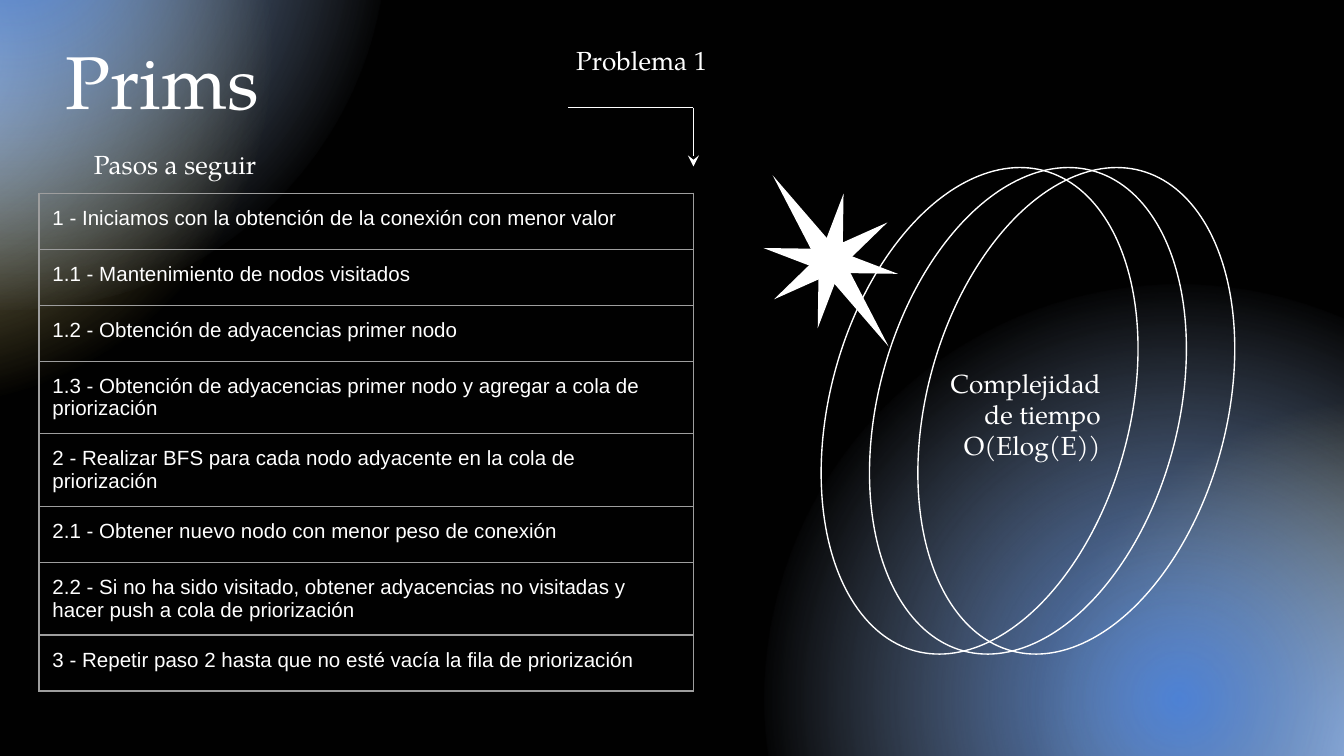
from dataclasses import dataclass
from math import cos, radians, sin

from lxml.etree import SubElement
from pptx import Presentation
from pptx.dml.color import RGBColor
from pptx.enum.shapes import MSO_CONNECTOR, MSO_SHAPE
from pptx.enum.text import MSO_ANCHOR, PP_ALIGN
from pptx.oxml.ns import qn
from pptx.util import Pt

SERIF = "TeX Gyre Pagella"
WHITE = "FFFFFF"
INSET = 7.2


@dataclass
class Glow:
    left: float
    top: float
    diameter: float
    stops: tuple  # (position in percent, colour, opacity in percent)


@dataclass
class Label:
    text: str
    left: float
    top: float
    width: float
    height: float
    size: float = 14
    alignment: PP_ALIGN = PP_ALIGN.LEFT
    anchor: MSO_ANCHOR = MSO_ANCHOR.MIDDLE
    line_spacing: float = 1.0


GOLD_STOPS = ((0, "ABC8F6", 100), (69, "DBBF57", 0), (100, "DBBF57", 0))
BLUE_STOPS = ((0, "4E82D5", 100), (72, "ACC4E8", 0), (91, "ACC4E8", 0), (100, "ACC4E8", 0))
GLOWS = [
    Glow(-239, -167, 389.5, GOLD_STOPS),
    Glow(-193.7, -235.4, 401, BLUE_STOPS),
    Glow(549.4, 209.5, 389.5, GOLD_STOPS),
    Glow(409.7, 152.6, 444.2, BLUE_STOPS),
]
LABELS = [
    Label("Prims", 28, 21, 285, 55.5, size=40, anchor=MSO_ANCHOR.TOP, line_spacing=0.8),
    Label("Pasos a seguir", 43.2, 76.5, 178.5, 22.5),
    Label(" Problema 1", 252.7, 21, 178.5, 22.5, alignment=PP_ALIGN.CENTER),
    Label("Complejidad de tiempo O(Elog(E))", 491.8, 189.4, 105, 65.5,
          alignment=PP_ALIGN.RIGHT, anchor=MSO_ANCHOR.TOP),
]
STEPS = [
    "1 - Iniciamos con la obtención de la conexión con menor valor",
    "1.1 - Mantenimiento de nodos visitados",
    "1.2 - Obtención de adyacencias primer nodo",
    "1.3 - Obtención de adyacencias primer nodo y agregar a cola de priorización",
    "2 - Realizar BFS para cada nodo adyacente en la cola de priorización",
    "2.1 - Obtener nuevo nodo con menor peso de conexión",
    "2.2 - Si no ha sido visitado, obtener adyacencias no visitadas y hacer push a cola de priorización",
    "3 - Repetir paso 2 hasta que no esté vacía la fila de priorización",
]


def color(value: str) -> RGBColor:
    return RGBColor.from_string(value)


def add_plain_shape(slide, kind: MSO_SHAPE, left: float, top: float, width: float, height: float):
    shape = slide.shapes.add_shape(kind, Pt(left), Pt(top), Pt(width), Pt(height))
    shape.shadow.inherit = False
    shape.fill.background()
    shape.line.fill.background()
    return shape


def add_glow(slide, glow: Glow) -> None:
    shape = add_plain_shape(slide, MSO_SHAPE.OVAL, glow.left, glow.top, glow.diameter, glow.diameter)
    shape.fill.gradient()
    gradient = shape.element.spPr.find(qn("a:gradFill"))
    for child in list(gradient):
        gradient.remove(child)
    stop_list = SubElement(gradient, qn("a:gsLst"))
    for position, value, opacity in glow.stops:
        stop = SubElement(stop_list, qn("a:gs"), pos=str(position * 1000))
        stop_color = SubElement(stop, qn("a:srgbClr"), val=value)
        SubElement(stop_color, qn("a:alpha"), val=str(opacity * 1000))
    circle = SubElement(gradient, qn("a:path"), {"path": "circle"})
    SubElement(circle, qn("a:fillToRect"), l="50000", t="50000", r="50000", b="50000")


def add_star(slide, center_x: float, center_y: float) -> None:
    """Eight triangles with their bases at the centre; one diagonal is longer."""
    width = 13
    for index in range(8):
        angle = 10.9 + 45 * index
        length = 55.4 if index in (3, 7) else 36.7
        ray_x = center_x + length / 2 * sin(radians(angle))
        ray_y = center_y - length / 2 * cos(radians(angle))
        ray = add_plain_shape(slide, MSO_SHAPE.ISOSCELES_TRIANGLE,
                              ray_x - width / 2, ray_y - length / 2, width, length)
        ray.rotation = angle
        ray.fill.solid()
        ray.fill.fore_color.rgb = color(WHITE)


def add_rings(slide) -> None:
    for index in range(3):
        ring = add_plain_shape(slide, MSO_SHAPE.OVAL, 391.6 + 25.9 * index, 139.8, 266.4, 160.6)
        ring.rotation = 285
        ring.line.color.rgb = color(WHITE)
        ring.line.width = Pt(0.75)


def format_paragraph(paragraph, font_name: str, size: float) -> None:
    for run in paragraph.runs:
        run.font.name = font_name
        run.font.size = Pt(size)
        run.font.color.rgb = color(WHITE)


def add_label(slide, label: Label) -> None:
    box = slide.shapes.add_textbox(Pt(label.left), Pt(label.top), Pt(label.width), Pt(label.height))
    frame = box.text_frame
    frame.word_wrap = True
    frame.vertical_anchor = label.anchor
    frame.margin_left = frame.margin_right = frame.margin_top = frame.margin_bottom = Pt(INSET)
    frame.text = label.text
    paragraph = frame.paragraphs[0]
    paragraph.alignment = label.alignment
    paragraph.line_spacing = label.line_spacing
    format_paragraph(paragraph, SERIF, label.size)


def add_line(slide, start: tuple, end: tuple, arrow: bool = False) -> None:
    connector = slide.shapes.add_connector(
        MSO_CONNECTOR.STRAIGHT, Pt(start[0]), Pt(start[1]), Pt(end[0]), Pt(end[1]))
    connector.line.color.rgb = color(WHITE)
    connector.line.width = Pt(0.75)
    if arrow:
        SubElement(connector.line._get_or_add_ln(), qn("a:tailEnd"), type="stealth")
    SubElement(connector.element.spPr, qn("a:effectLst"))


def add_cell_borders(cell, value: str, width: float) -> None:
    properties = cell._tc.get_or_add_tcPr()
    for side in ("lnL", "lnR", "lnT", "lnB"):
        border = SubElement(properties, qn(f"a:{side}"), w=str(Pt(width)))
        fill = SubElement(border, qn("a:solidFill"))
        SubElement(fill, qn("a:srgbClr"), val=value)


def add_steps_table(slide, steps: list) -> None:
    row_height = 30
    frame = slide.shapes.add_table(len(steps), 1, Pt(20.9), Pt(103.5),
                                   Pt(350.6), Pt(row_height * len(steps)))
    table = frame.table
    table.first_row = table.horz_banding = False
    for row, step in zip(table.rows, steps):
        row.height = Pt(row_height)
        cell = row.cells[0]
        cell.margin_left = cell.margin_right = cell.margin_top = cell.margin_bottom = Pt(INSET)
        cell.text_frame.text = step
        format_paragraph(cell.text_frame.paragraphs[0], "Arial", 11)
        add_cell_borders(cell, "9E9E9E", 0.75)
        cell.fill.background()


def main() -> None:
    presentation = Presentation()
    presentation.slide_width, presentation.slide_height = Pt(720), Pt(405)
    slide = presentation.slides.add_slide(presentation.slide_layouts[6])

    # Background and decoration
    slide.background.fill.solid()
    slide.background.fill.fore_color.rgb = color("010101")
    for glow in GLOWS:
        add_glow(slide, glow)
    add_star(slide, 445, 139.8)
    add_rings(slide)

    # Bent arrow under the problem heading
    corner = (371.5, 57.6)
    add_line(slide, (304.5, 57.6), corner)
    add_line(slide, corner, (371.5, 89.2), arrow=True)

    # Steps and texts
    add_steps_table(slide, STEPS)
    for label in LABELS:
        add_label(slide, label)

    presentation.save("out.pptx")


if __name__ == "__main__":
    main()
